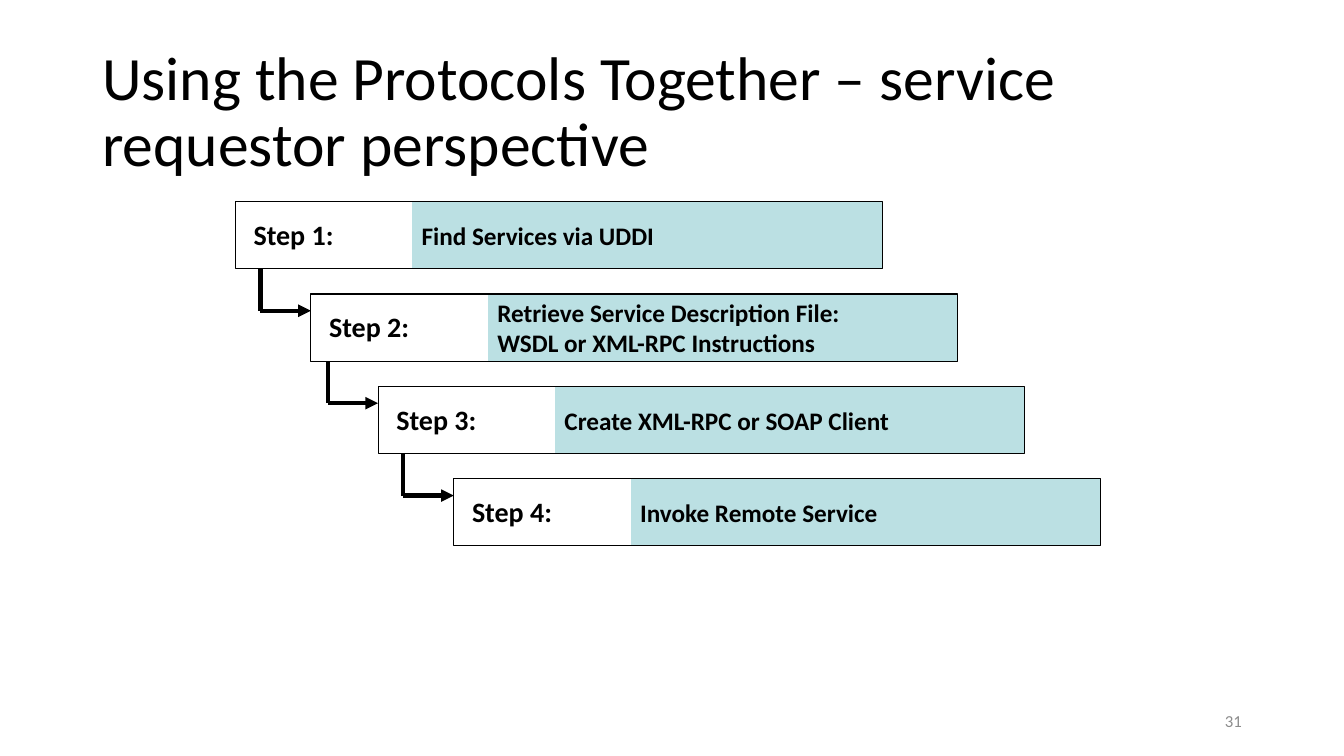
from dataclasses import dataclass

from lxml import etree
from pptx import Presentation
from pptx.dml.color import RGBColor
from pptx.enum.shapes import MSO_CONNECTOR, MSO_SHAPE
from pptx.enum.text import MSO_ANCHOR, PP_ALIGN
from pptx.oxml.ns import qn
from pptx.util import Inches, Pt

RECT = MSO_SHAPE.RECTANGLE
STRAIGHT = MSO_CONNECTOR.STRAIGHT
TOP, MIDDLE = MSO_ANCHOR.TOP, MSO_ANCHOR.MIDDLE
LEFT, RIGHT = PP_ALIGN.LEFT, PP_ALIGN.RIGHT


@dataclass(frozen=True)
class Theme:
    font: str = "Calibri"
    ink: RGBColor = RGBColor(0x00, 0x00, 0x00)
    paper: RGBColor = RGBColor(0xFF, 0xFF, 0xFF)
    band: RGBColor = RGBColor(0xBB, 0xE0, 0xE3)
    muted: RGBColor = RGBColor(0x8C, 0x8C, 0x8C)
    title_size: float = 44
    label_size: float = 20
    band_size: float = 18
    number_size: float = 12
    outline: float = 0.75
    arrow: float = 3


@dataclass(frozen=True)
class Box:
    col: float
    row: float
    cols: float
    rows: float

    def emu(self) -> tuple[int, int, int, int]:
        return grid(self.col), grid(self.row), grid(self.cols), grid(self.rows)


@dataclass(frozen=True)
class Step:
    col: int
    text: str


THEME = Theme()
CELLS_PER_INCH = 12
FIRST_ROW, ROW_PITCH = 24, 11
STEP_COLS, STEP_ROWS = 77, 8
BAND_OFFSET = 21
ARROW_COLS, ARROW_DROP = 6, 2

TITLE = "Using the Protocols Together – service requestor perspective"
STEPS = [
    Step(28, "Find Services via UDDI"),
    Step(37, "Retrieve Service Description File:\nWSDL or XML-RPC Instructions"),
    Step(45, "Create XML-RPC or SOAP Client"),
    Step(54, "Invoke Remote Service"),
]


def grid(cells: float) -> int:
    return Inches(cells / CELLS_PER_INCH)


def write(sp, text: str, size: float, color: RGBColor = THEME.ink,
          bold: bool = False, wrap: bool = False,
          anchor: MSO_ANCHOR = MIDDLE, align: PP_ALIGN = LEFT) -> None:
    tf = sp.text_frame
    tf.text = text
    tf.word_wrap = wrap
    tf.vertical_anchor = anchor
    for p in tf.paragraphs:
        p.alignment = align
        for r in p.runs:
            r.font.name = THEME.font
            r.font.size = Pt(size)
            r.font.bold = bold
            r.font.color.rgb = color


def add_text(slide, box: Box, text: str, size: float, **style):
    sp = slide.shapes.add_textbox(*box.emu())
    write(sp, text, size, **style)
    return sp


def add_rect(slide, box: Box, line: RGBColor, fill: RGBColor | None = None):
    sp = slide.shapes.add_shape(RECT, *box.emu())
    sp.shadow.inherit = False
    if fill is None:
        sp.fill.background()
    else:
        sp.fill.solid()
        sp.fill.fore_color.rgb = fill
    sp.line.color.rgb = line
    sp.line.width = Pt(THEME.outline)
    return sp


def add_line(slide, start: tuple[float, float], end: tuple[float, float],
             head: bool = False) -> None:
    points = [grid(cells) for cells in (*start, *end)]
    line = slide.shapes.add_connector(STRAIGHT, *points)
    line.line.color.rgb = THEME.ink
    line.line.width = Pt(THEME.arrow)
    if head:
        etree.SubElement(line.line._get_or_add_ln(), qn("a:tailEnd"), type="triangle")
    etree.SubElement(line._element.spPr, qn("a:effectLst"))


def add_step(slide, step: Step, number: int, row: int) -> None:
    band_box = Box(step.col + BAND_OFFSET, row, STEP_COLS - BAND_OFFSET, STEP_ROWS)
    band = add_rect(slide, band_box, THEME.paper, THEME.band)
    write(band, step.text, THEME.band_size, bold=True)
    add_text(slide, Box(step.col + 1, row + 1.3, 12, 5.25), f"Step {number}:",
             THEME.label_size, bold=True, anchor=TOP)
    add_rect(slide, Box(step.col, row, STEP_COLS, STEP_ROWS), THEME.ink)


def add_arrow(slide, target: Step, row: int) -> None:
    corner = (target.col - ARROW_COLS, row + ARROW_DROP)
    add_line(slide, corner, (target.col, row + ARROW_DROP), head=True)
    add_line(slide, (corner[0], row - ROW_PITCH + STEP_ROWS), corner)


def main() -> None:
    prs = Presentation()
    prs.slide_width, prs.slide_height = Inches(13.33), Inches(7.5)
    slide = prs.slides.add_slide(prs.slide_layouts[6])

    add_text(slide, Box(113, 83.4, 36, 4.8), "31", THEME.number_size,
             color=THEME.muted, wrap=True, align=RIGHT)
    title = add_text(slide, Box(11, 4.8, 138, 17.4), TITLE, THEME.title_size, wrap=True)
    title.text_frame.paragraphs[0].line_spacing = 0.9

    rows = [FIRST_ROW + i * ROW_PITCH for i in range(len(STEPS))]
    for number, (step, row) in enumerate(zip(STEPS, rows), start=1):
        add_step(slide, step, number, row)
    for step, row in zip(STEPS[1:], rows[1:]):
        add_arrow(slide, step, row)

    prs.save("out.pptx")


if __name__ == "__main__":
    main()
